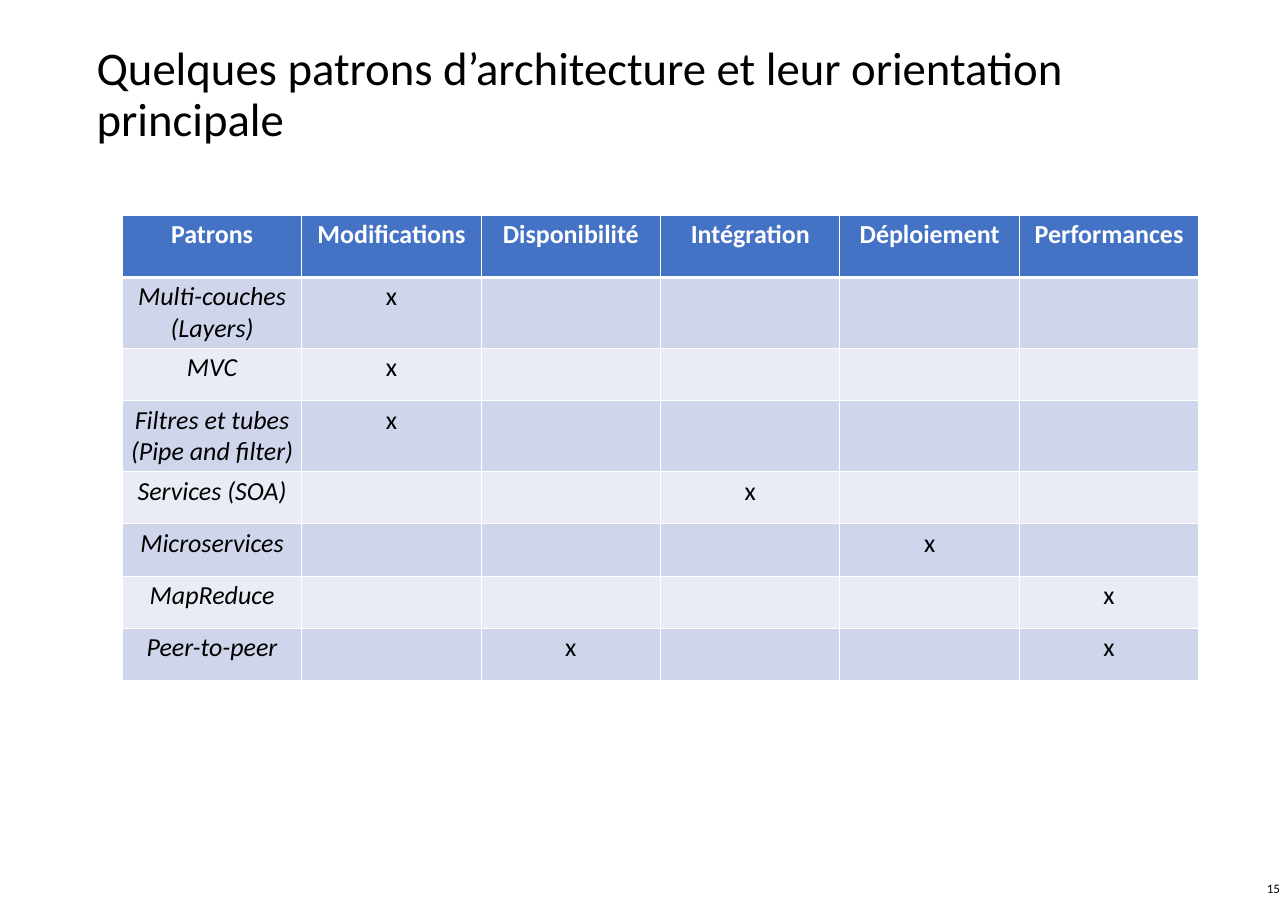
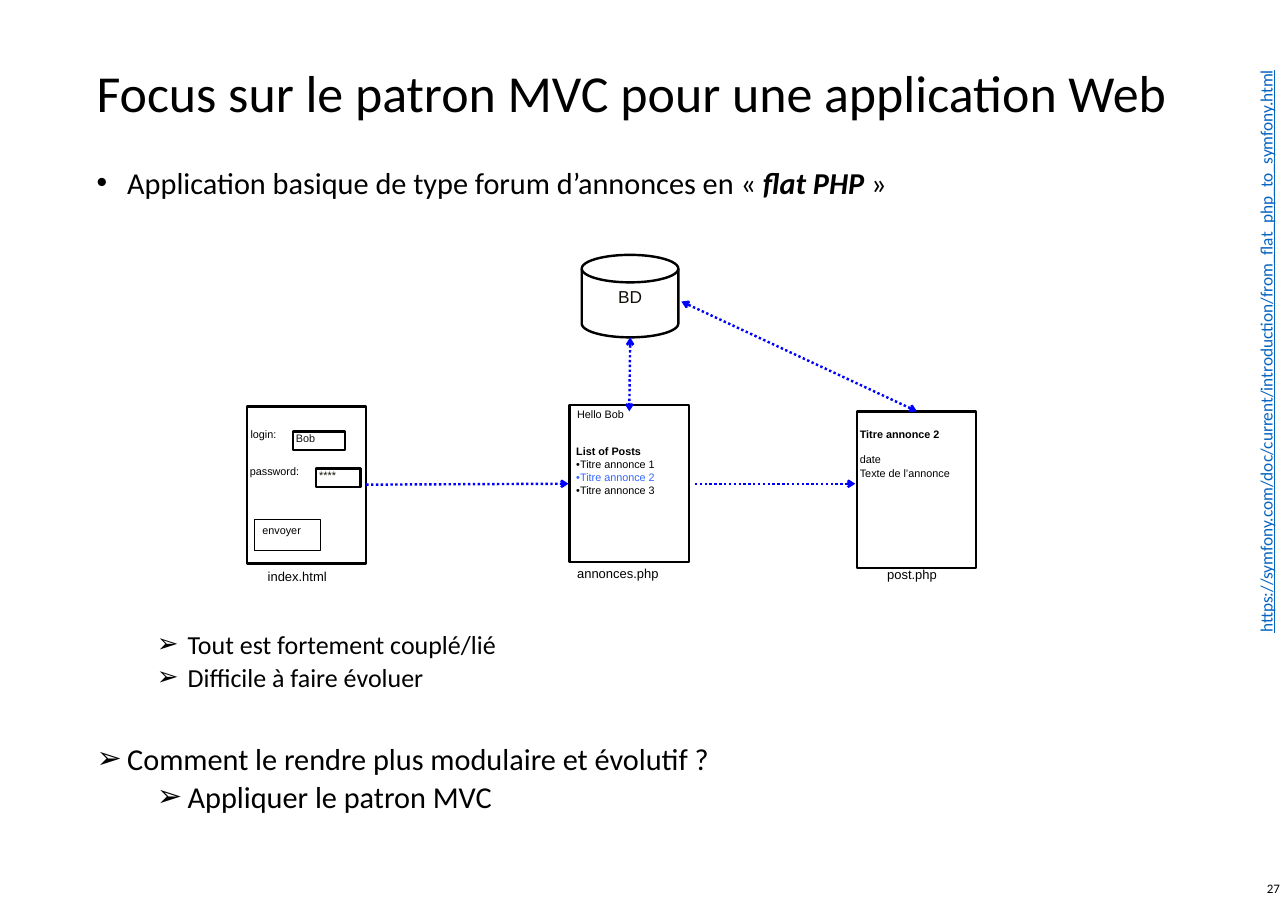
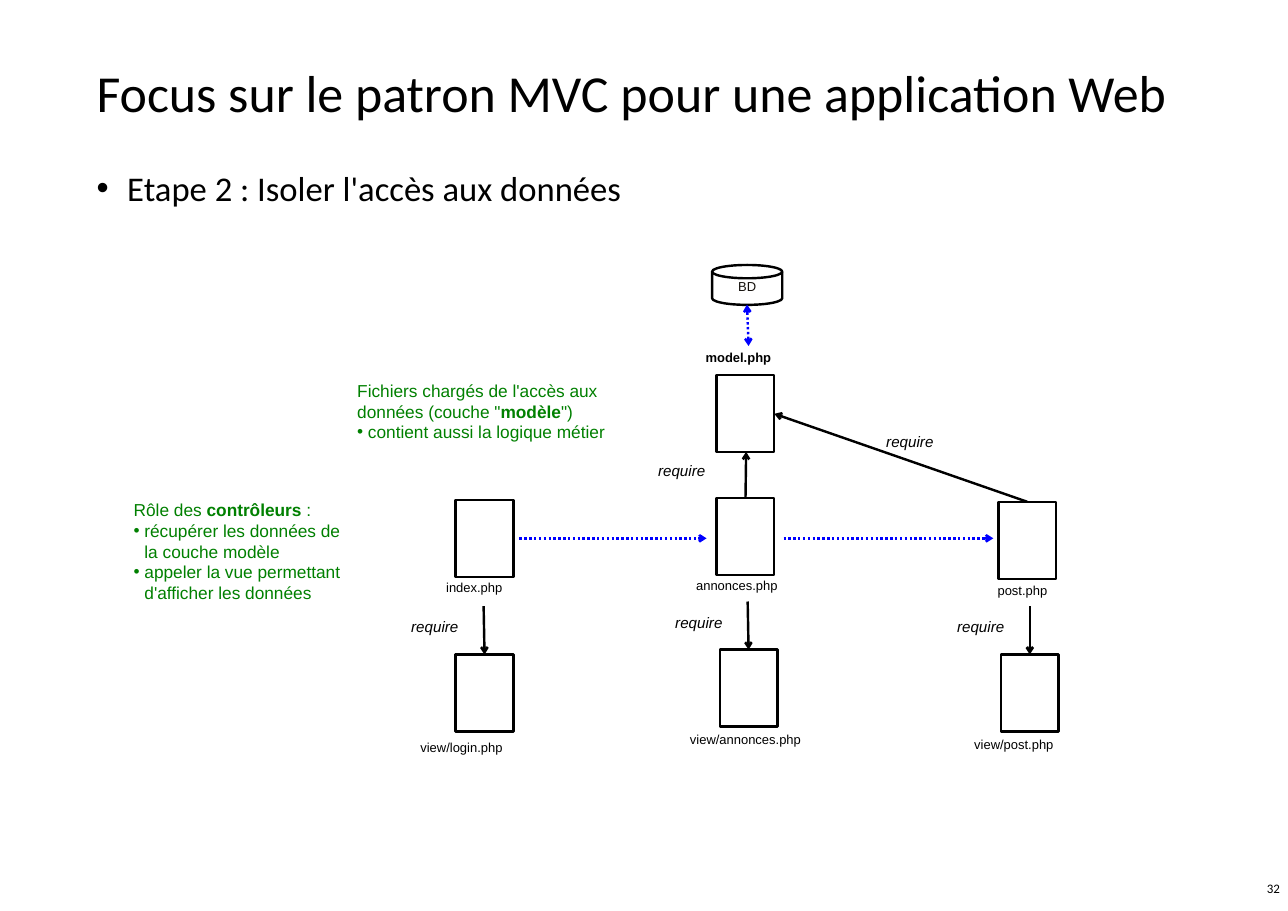
"""Build three slides on architecture patterns and MVC."""
import pptx
import pptx.dml.color
import pptx.enum.dml
import pptx.enum.shapes
import pptx.enum.text
import pptx.oxml.ns
import pptx.util
from lxml import etree

Cm = pptx.util.Cm
Pt = pptx.util.Pt
RGB = pptx.dml.color.RGBColor
Align = pptx.enum.text.PP_ALIGN
Anchor = pptx.enum.text.MSO_ANCHOR
Shape = pptx.enum.shapes.MSO_SHAPE
qn = pptx.oxml.ns.qn

BLACK = RGB(0x00, 0x00, 0x00)
WHITE = RGB(0xFF, 0xFF, 0xFF)
INK = RGB(0x13, 0x0F, 0x0B)
BLUE = RGB(0x00, 0x00, 0xFF)
GREEN = RGB(0x00, 0x80, 0x00)
PICK = RGB(0x33, 0x66, 0xFF)
URL = RGB(0x05, 0x63, 0xC1)
HEAD = RGB(0x44, 0x72, 0xC4)
BANDS = [RGB(0xCF, 0xD5, 0xEA), RGB(0xE9, 0xEB, 0xF5)]


def put(page, box, paras=(), size=12, font="Arial", tint=BLACK, kind=None,
        edge=2.25, hang=0, lead=None, align=Align.LEFT, anchor=Anchor.TOP):
    """Add a text box or shape; in a list of runs every second one is bold."""
    place = [Cm(n) for n in box]
    if kind is None:
        item = page.shapes.add_textbox(*place)
    else:
        item = page.shapes.add_shape(kind, *place)
        item.shadow.inherit = False
        item.fill.solid()
        item.fill.fore_color.rgb = WHITE
        item.line.color.rgb = BLACK
        item.line.width = Pt(edge)
    frame = item.text_frame
    frame.word_wrap = True
    frame.vertical_anchor = anchor
    for k, runs in enumerate(paras):
        para = frame.paragraphs[0] if k == 0 else frame.add_paragraph()
        para.alignment = align
        para.line_spacing = lead
        runs = [runs] if isinstance(runs, str) else list(runs)
        mark = runs[0][0]
        if mark in "•➢":
            runs[0] = runs[0][1:]
            props = para._p.get_or_add_pPr()
            props.set("marL", str(Cm(hang)))
            props.set("indent", str(-Cm(hang)))
            etree.SubElement(props, qn("a:buFont")).set("typeface", "Arial")
            etree.SubElement(props, qn("a:buChar")).set("char", mark)
        para.font.name = font
        para.font.size = Pt(size)
        para.font.color.rgb = tint
        for n, text in enumerate(runs):
            run = para.add_run()
            run.text = text
            if n % 2:
                run.font.bold = True
    return item


def link(page, ends, tint=BLUE, both=False):
    """Add an arrow, dotted when blue."""
    line = page.shapes.add_connector(
        pptx.enum.shapes.MSO_CONNECTOR.STRAIGHT, *[Cm(n) for n in ends])
    line.line.color.rgb = tint
    line.line.width = Pt(2.25)
    if tint == BLUE:
        line.line.dash_style = pptx.enum.dml.MSO_LINE.ROUND_DOT
    props = line._element.spPr
    stroke = props.find(qn("a:ln"))
    for tag in ["a:headEnd", "a:tailEnd"][0 if both else 1:]:
        etree.SubElement(stroke, qn(tag)).set("type", "arrow")
    etree.SubElement(props, qn("a:effectLst"))


deck = pptx.Presentation()
deck.slide_width, deck.slide_height = Cm(42), Cm(29.7)

FOCUS = "Focus sur le patron MVC pour une application Web"
pages = []
for title, size, wide, num in [
    ("Quelques patrons d’architecture et leur orientation principale", 43.2, 37.64, "15"),
    (FOCUS, 48, 36.22, "27"),
    (FOCUS, 48, 36.22, "32"),
]:
    page = deck.slides.add_slide(deck.slide_layouts[6])
    put(page, (2.9, 1.57, wide, 3.1), [title], size, "Calibri",
        lead=0.9, anchor=Anchor.MIDDLE)
    put(page, (32.54, 28.19, 9.45, 1.57), [num], 12, "Calibri",
        align=Align.RIGHT, anchor=Anchor.MIDDLE)
    pages.append(page)
first, flat, step = pages

heads = ["Patrons", "Modifications", "Disponibilité", "Intégration",
         "Déploiement", "Performances"]
marks = [
    ("Multi-couches (Layers)", [1]),
    ("MVC", [1]),
    ("Filtres et tubes (Pipe and filter)", [1]),
    ("Services (SOA)", [3]),
    ("Microservices", [4]),
    ("MapReduce", [5]),
    ("Peer-to-peer", [2, 5]),
]
rows = [heads] + [[name] + ["x" if c in hits else "" for c in range(1, 6)]
                  for name, hits in marks]
highs = [2.03, 2.32, 1.7, 2.32, 1.7, 1.7, 1.7, 1.7]
grid = first.shapes.add_table(len(rows), len(heads), Cm(3.99), Cm(7.01),
                              Cm(35.1), Cm(sum(highs))).table
grid.horz_banding = False
for col in grid.columns:
    col.width = Cm(5.85)
for r, row in enumerate(rows):
    grid.rows[r].height = Cm(highs[r])
    for c, text in enumerate(row):
        cell = grid.cell(r, c)
        props = cell._tc.get_or_add_tcPr()
        for side in "LRTB":
            thick = (r, side) in [(0, "B"), (1, "T")]
            rule = etree.SubElement(props, qn("a:ln" + side), w=str(Pt(3 if thick else 1)))
            fill = etree.SubElement(rule, qn("a:solidFill"))
            etree.SubElement(fill, qn("a:srgbClr")).set("val", str(WHITE))
        cell.fill.solid()
        cell.fill.fore_color.rgb = BANDS[(r - 1) % 2] if r else HEAD
        para = cell.text_frame.paragraphs[0]
        para.alignment = Align.CENTER
        para.font.name = "Calibri"
        para.font.size = Pt(24)
        para.font.bold = r == 0
        para.font.italic = r > 0 and c == 0
        para.font.color.rgb = BLACK if r else WHITE
        if text:
            para.add_run().text = text

intro = put(flat, (2.9, 5.46, 37.5, 1.5),
            [["•Application basique de type forum d’annonces en « ", "flat PHP ", "»"]],
            28, "Calibri", hang=1, lead=0.8)
intro.text_frame.paragraphs[0].runs[1].font.italic = True

points = put(flat, (2.9, 20.55, 37.5, 6.5),
             ["➢Tout est fortement couplé/lié", "➢Difficile à faire évoluer",
              "➢Comment le rendre plus modulaire et évolutif ?",
              "➢Appliquer le patron MVC"],
             28, "Calibri", hang=1, lead=0.8).text_frame.paragraphs
for para, gap in zip(points[1:], [7.8, 50.7, 7.8]):
    para.space_before = Pt(gap)
for k in (0, 1, 3):
    points[k]._p.get_or_add_pPr().set("marL", str(Cm(2.97)))
for para in points[:2]:
    para.font.size = Pt(24)

for left, top in [(18.57, 13.21), (8.05, 13.26), (27.94, 13.41)]:
    put(flat, (left, top, 3.89, 5.11), kind=Shape.RECTANGLE)
for text, left, top, wide, size in [
    ("Hello Bob", 18.57, 13.16, 2.51, 10),
    ("login:", 7.92, 13.82, 3.89, 10),
    ("password:", 7.9, 15.04, 3.89, 10),
    ("index.html", 8.48, 18.42, 2.97, 12),
    ("annonces.php", 18.57, 18.31, 4.5, 12),
    ("post.php", 28.68, 18.34, 2.59, 12),
]:
    put(flat, (left, top, wide, 1), [text], size)
for text, left, top, wide in [("Bob", 9.55, 14.07, 1.7), ("****", 10.31, 15.27, 1.45)]:
    field = put(flat, (left, top, wide, 0.61), [text], 10, tint=INK,
                kind=Shape.RECTANGLE).text_frame
    field.margin_left = Cm(0.1)
    field.margin_right = field.margin_top = field.margin_bottom = 0
put(flat, (8.31, 16.94, 2.13, 0.99), ["envoyer"], 10, kind=Shape.RECTANGLE, edge=0.75)
put(flat, (18.97, 8.31, 3.15, 2.69), ["BD"], 16, tint=INK,
    kind=Shape.FLOWCHART_MAGNETIC_DISK, align=Align.CENTER)

posts = put(flat, (18.54, 14.38, 4.14, 2.82),
            ["List of Posts", "•Titre annonce 1", "•Titre annonce 2", "•Titre annonce 3"],
            10, hang=0.13).text_frame.paragraphs
posts[0].font.bold = True
posts[2].font.color.rgb = PICK
post = put(flat, (27.79, 13.82, 4.19, 2.82),
           ["Titre annonce 2", "date", "Texte de l’annonce"], 10).text_frame.paragraphs
post[0].font.bold = True
post[1].space_before = Pt(11.5)

link(flat, (11.94, 15.8, 18.54, 15.77))
link(flat, (22.66, 15.77, 27.89, 15.77))
link(flat, (20.55, 11, 20.52, 13.41), both=True)
link(flat, (22.22, 9.83, 29.9, 13.41), both=True)

side = put(flat, (30.78, 9.91, 21, 0.94),
           ["https://symfony.com/doc/current/introduction/from_flat_php_to_symfony.html"],
           16, "Calibri", URL)
side.rotation = 270
side.text_frame.paragraphs[0].font.underline = True

put(step, (2.9, 5.46, 36.22, 2), ["•Etape 2 : Isoler l'accès aux données"],
    32, "Calibri", hang=1, lead=0.9)
for left, top in [(23.37, 12.22), (23.37, 16.23), (14.86, 16.31), (32.56, 16.36),
                  (14.86, 21.34), (23.47, 21.18), (32.64, 21.34)]:
    put(step, (left, top, 1.88, 2.51), kind=Shape.RECTANGLE)
disk = put(step, (23.22, 8.64, 2.29, 1.3), ["BD"], 12, tint=INK,
           kind=Shape.FLOWCHART_MAGNETIC_DISK, align=Align.CENTER).text_frame
disk.margin_left = disk.margin_right = disk.margin_top = disk.margin_bottom = 0

for text, left, top in [
    ("index.php", 14.3, 18.77),
    ("annonces.php", 22.45, 18.69),
    ("post.php", 32.28, 18.87),
    ("view/login.php", 13.46, 23.98),
    ("view/annonces.php", 22.25, 23.72),
    ("view/post.php", 31.52, 23.9),
    ("model.php", 22.76, 11.28),
]:
    label = put(step, (left, top, 4.5, 0.97), [text])
    label.text_frame.paragraphs[0].font.bold = text == "model.php"
for left, top in [(13.16, 19.99), (21.77, 19.86), (30.96, 19.99),
                  (21.21, 14.91), (28.65, 13.97)]:
    need = put(step, (left, top, 2.69, 1.09), ["require"], 14)
    need.text_frame.paragraphs[0].font.italic = True

link(step, (16.94, 17.55, 23.04, 17.55))
link(step, (25.55, 17.55, 32.39, 17.55))
link(step, (24.36, 9.93, 24.41, 11.28), both=True)
for ends in [(15.77, 19.76, 15.8, 21.34), (24.38, 19.61, 24.41, 21.18),
             (33.58, 19.76, 33.58, 21.34), (24.31, 16.23, 24.33, 14.73),
             (33.5, 16.36, 25.25, 13.49)]:
    link(step, ends, BLACK)

put(step, (11.4, 12.27, 9.9, 2.31),
    [["Fichiers chargés de l'accès aux données (couche \"", "modèle", "\")"],
     "•contient aussi la logique métier"], 16, tint=GREEN, hang=0.35)
put(step, (4.11, 16.15, 7.4, 3.68),
    [["Rôle des ", "contrôleurs ", ":"],
     "•récupérer les données de la couche modèle",
     "•appeler la vue permettant d'afficher les données"],
    16, tint=GREEN, hang=0.35)

deck.save("out.pptx")
